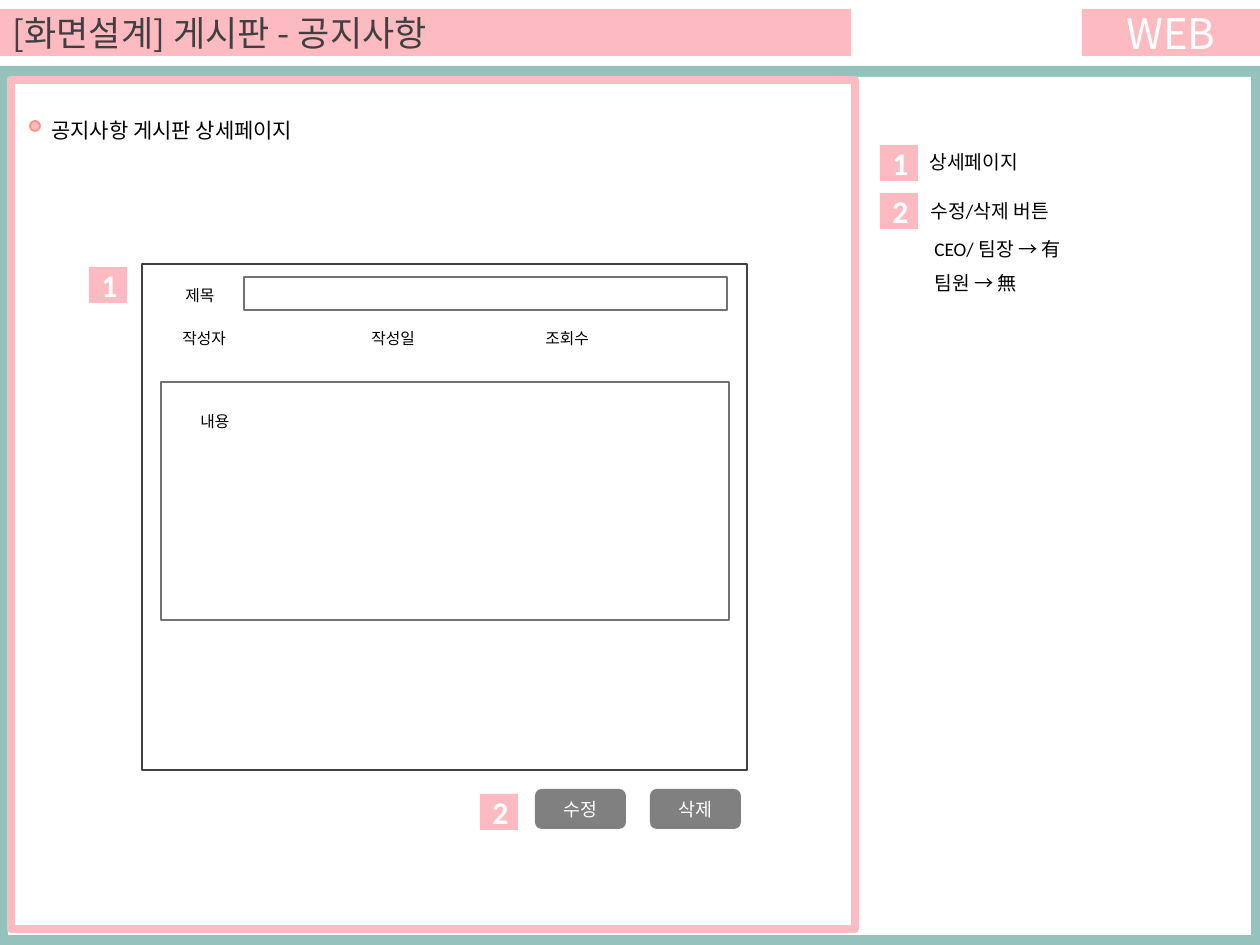
from dataclasses import dataclass

from lxml.etree import SubElement
from pptx import Presentation
from pptx.dml.color import RGBColor
from pptx.enum.shapes import MSO_SHAPE as Preset
from pptx.enum.text import MSO_ANCHOR as Anchor, MSO_AUTO_SIZE as AutoSize, PP_ALIGN as Align
from pptx.oxml.ns import qn
from pptx.util import Pt


@dataclass(frozen=True)
class Theme:
    mint: str = "94C3BB"
    pink: str = "FDBBC1"
    coral: str = "FE907E"
    white: str = "FFFFFF"
    black: str = "000000"
    dark: str = "404040"
    border: str = "767171"
    button: str = "808080"
    latin: str = "Calibri"
    korean: str = "Noto Sans CJK KR"
    title_size: float = 20
    web_size: float = 24
    badge_size: float = 18
    heading_size: float = 12
    note_size: float = 11
    button_size: float = 10.5
    label_size: float = 9


theme = Theme()
EMU_PER_PX = 914400 / 126

TITLE = "[화면설계] 게시판 - 공지사항"
PLATFORM = "WEB"
HEADING = "공지사항 게시판 상세페이지"
BADGES = [("1", 880, 145), ("2", 880, 193), ("1", 89, 267), ("2", 480, 794)]
NOTES = [("상세페이지", 917, 144), ("수정/삭제 버튼", 918, 193)]
PERMISSIONS = ["CEO/ 팀장 → 有", "팀원 → 無"]
FIELD_LABELS = [
    ("제목", 173, 280, 57),
    ("작성자", 170, 323, 77),
    ("작성일", 359, 323, 73),
    ("조회수", 533, 323, 73),
    ("내용", 188, 406, 57),
]
FORM_BOXES = [
    ((142, 264, 605, 506), theme.dark, 1),
    ((244, 277, 483, 33), theme.border, 0.75),
    ((161, 382, 568, 238), theme.border, 0.75),
]
BUTTONS = ["수정", "삭제"]
BUTTON_LEFT, BUTTON_TOP, BUTTON_PITCH = 535, 789, 115


def px(*lengths):
    return [round(length * EMU_PER_PX) for length in lengths]


def write(frame, lines, size, color, font=theme.latin, bold=False,
          align=Align.LEFT, spacing=None):
    frame.text = "\n".join(lines)
    for paragraph in frame.paragraphs:
        paragraph.alignment = align
        if spacing:
            paragraph.line_spacing = spacing
        for run in paragraph.runs:
            run.font.size = Pt(size)
            run.font.name = font
            run.font.bold = bold
            run.font.color.rgb = RGBColor.from_string(color)
            east_asian = SubElement(run.font._element, qn("a:ea"))
            east_asian.set("typeface", theme.korean)


def paint(shape, fill):
    shape.fill.solid()
    shape.fill.fore_color.rgb = RGBColor.from_string(fill)


def add_block(slide, box, fill=None, line=None, weight=1, preset=Preset.RECTANGLE):
    block = slide.shapes.add_shape(preset, *px(*box))
    block.shadow.inherit = False
    if fill:
        paint(block, fill)
    else:
        block.fill.background()
    if line:
        block.line.color.rgb = RGBColor.from_string(line)
        block.line.width = Pt(weight)
    else:
        block.line.fill.background()
    return block


def add_label(slide, box, lines, size, wrap=True, spacing=None):
    frame = slide.shapes.add_textbox(*px(*box)).text_frame
    frame.word_wrap = wrap
    frame.auto_size = AutoSize.SHAPE_TO_FIT_TEXT
    write(frame, lines, size, theme.black, spacing=spacing)


def add_header(slide):
    title = slide.shapes.title
    title.left, title.top, title.width, title.height = px(0, 9, 851, 47)
    paint(title, theme.pink)
    title.text_frame.auto_size = AutoSize.NONE
    title.text_frame.vertical_anchor = Anchor.MIDDLE
    write(title.text_frame, [TITLE], theme.title_size, theme.dark, theme.korean)
    platform = add_block(slide, (1082, 9, 178, 47), theme.pink)
    write(platform.text_frame, [PLATFORM], theme.web_size, theme.white,
          theme.korean, align=Align.CENTER)


def add_frames(slide):
    add_block(slide, (0, 66, 1260, 879), theme.mint)
    add_block(slide, (8, 77, 1243, 858), theme.white)
    add_block(slide, (11, 80, 844, 849), line=theme.pink, weight=4.5)


def add_form(slide):
    for box, line, weight in FORM_BOXES:
        add_block(slide, box, line=line, weight=weight)
    for label, left, top, width in FIELD_LABELS:
        add_label(slide, (left, top, width, 32), [label], theme.label_size, wrap=False)
    for index, caption in enumerate(BUTTONS):
        box = (BUTTON_LEFT + index * BUTTON_PITCH, BUTTON_TOP, 91, 40)
        button = add_block(slide, box, theme.button, preset=Preset.ROUNDED_RECTANGLE)
        write(button.text_frame, [caption], theme.button_size, theme.white,
              theme.korean, align=Align.CENTER)


def add_notes(slide):
    for number, left, top in BADGES:
        badge = add_block(slide, (left, top, 38, 36), theme.pink)
        write(badge.text_frame, [number], theme.badge_size, theme.white,
              bold=True, align=Align.CENTER)
    for note, left, top in NOTES:
        add_label(slide, (left, top, 348, 36), [note], theme.note_size)
    add_label(slide, (922, 219, 215, 79), PERMISSIONS, theme.note_size, spacing=1.5)


def main():
    deck = Presentation()
    deck.slide_width, deck.slide_height = px(1260, 945)
    slide = deck.slides.add_slide(deck.slide_layouts[5])
    add_header(slide)
    add_frames(slide)
    add_block(slide, (30, 121, 10, 10), theme.pink, theme.coral, preset=Preset.OVAL)
    add_label(slide, (39, 111, 482, 38), [HEADING], theme.heading_size)
    add_form(slide)
    add_notes(slide)
    deck.save("out.pptx")


if __name__ == "__main__":
    main()
